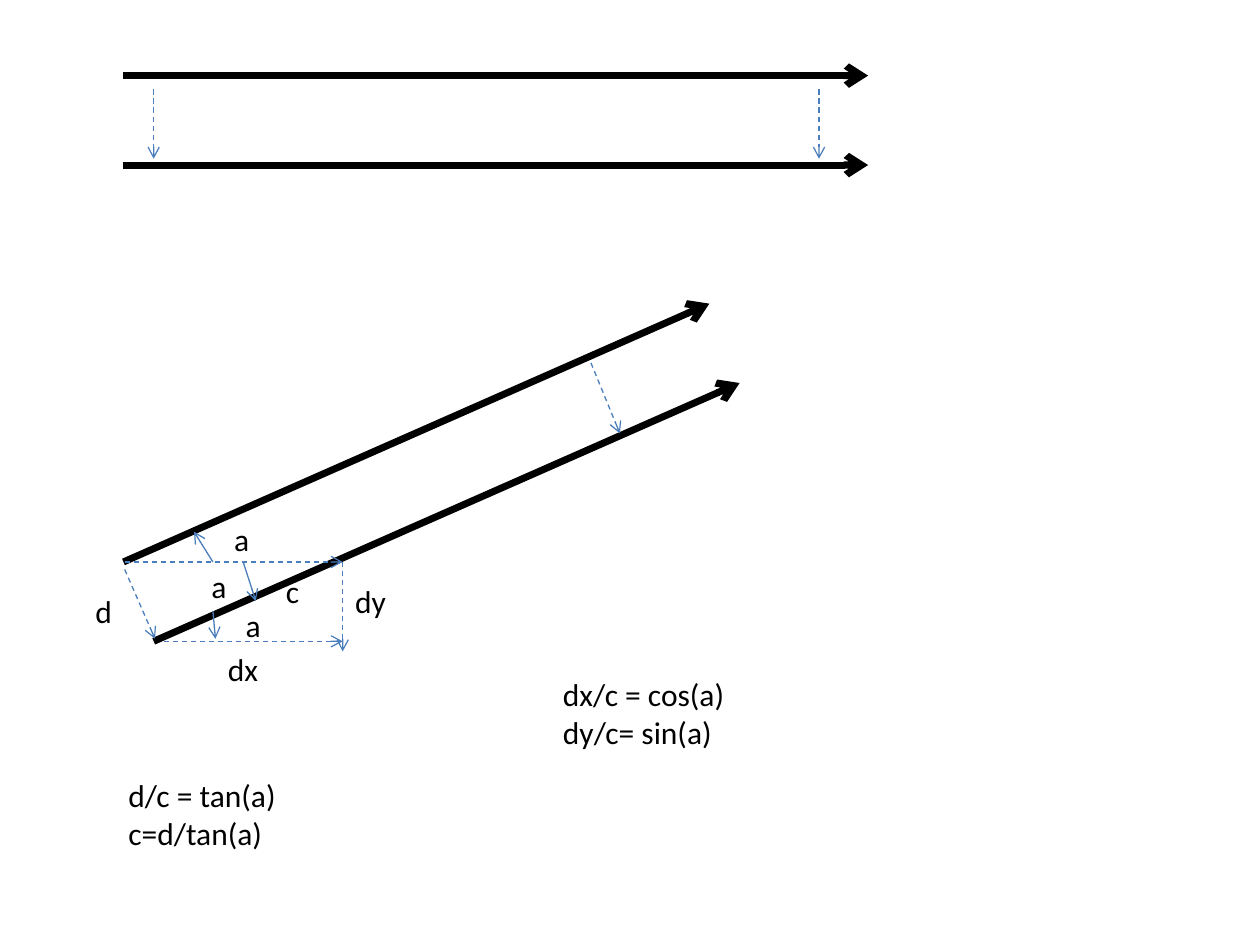
from pptx import Presentation
from pptx.dml.color import RGBColor
from pptx.enum.dml import MSO_LINE
from pptx.enum.shapes import MSO_CONNECTOR
from pptx.enum.text import MSO_AUTO_SIZE
from pptx.oxml.ns import qn
from pptx.util import Inches, Pt
from lxml import etree

STRAIGHT = MSO_CONNECTOR.STRAIGHT
DASH = MSO_LINE.DASH
FIT_SHAPE = MSO_AUTO_SIZE.SHAPE_TO_FIT_TEXT
COLORS = {"ink": "000000", "guide": "4B7EBC"}
FONT = "Calibri"

LEFT, UPPER_START, LOWER_START = 0.98, 4.46, 5.09
CORNER = 2.72
FLAT_LENGTH = 5.91
SLOPE_RUN, SLOPE_RISE = 4.65, -2.05

VECTORS = [
    (LEFT, 0.6, FLAT_LENGTH, 0),
    (LEFT, 1.31, FLAT_LENGTH, 0),
    (LEFT, UPPER_START, SLOPE_RUN, SLOPE_RISE),
    (1.22, LOWER_START, SLOPE_RUN, SLOPE_RISE),
]
DASHED_GUIDES = [
    (1.22, 0.71, 0, 0.55),
    (6.5, 0.71, 0, 0.55),
    (0.99, 4.52, 0.24, 0.55),
    (4.69, 2.88, 0.23, 0.56),
    (0.99, UPPER_START, CORNER - 0.99, 0),
    (CORNER, UPPER_START, 0, 0.71),
    (1.3, LOWER_START, CORNER - 1.3, 0),
]
ANGLE_MARKS = [
    (1.69, UPPER_START, -0.15, -0.24),
    (1.93, UPPER_START, 0.1, 0.31),
    (1.69, 4.85, 0.02, 0.22),
]
LABELS = [
    (["d"], 0.66, 4.65, 0.34),
    (["a"], 1.76, 4.08, 0.32),
    (["a"], 1.58, 4.45, 0.32),
    (["dx"], 1.71, 5.11, 0.44),
    (["dy"], 2.72, 4.57, 0.45),
    (["a"], 1.85, 4.76, 0.32),
    (["d/c = tan(a)", "c=d/tan(a)"], 0.92, 6.11, 1.39),
    (["c"], 2.17, 4.49, 0.31),
    (["dx/c = cos(a)", "dy/c= sin(a)"], 4.37, 5.31, 1.5),
]

presentation = Presentation()
presentation.slide_width = Inches(10)
presentation.slide_height = Inches(7.5)
slide = presentation.slides.add_slide(presentation.slide_layouts[6])


def add_arrow(left, top, run, rise, color, width, dash=None):
    ends = [Inches(value) for value in (left, top, left + run, top + rise)]
    arrow = slide.shapes.add_connector(STRAIGHT, *ends)
    arrow.line.color.rgb = RGBColor.from_string(COLORS[color])
    arrow.line.width = Pt(width)
    if dash is not None:
        arrow.line.dash_style = dash
    properties = arrow.element.spPr
    etree.SubElement(properties.find(qn("a:ln")), qn("a:tailEnd"), type="arrow")
    etree.SubElement(properties, qn("a:effectLst"))


def add_text(lines, left, top, width, size=18, color="ink", font=FONT):
    height = 0.4 + 0.31 * (len(lines) - 1)
    shape = slide.shapes.add_textbox(*map(Inches, (left, top, width, height)))
    frame = shape.text_frame
    frame.word_wrap = False
    frame.auto_size = FIT_SHAPE
    frame.text = "\n".join(lines)
    for paragraph in frame.paragraphs:
        paragraph.font.size = Pt(size)
        paragraph.font.name = font
        paragraph.font.color.rgb = RGBColor.from_string(COLORS[color])


for vector in VECTORS:
    add_arrow(*vector, color="ink", width=4)
for guide in DASHED_GUIDES:
    add_arrow(*guide, color="guide", width=0.75, dash=DASH)
for mark in ANGLE_MARKS:
    add_arrow(*mark, color="guide", width=0.75)
for label in LABELS:
    add_text(*label)

presentation.save("out.pptx")
